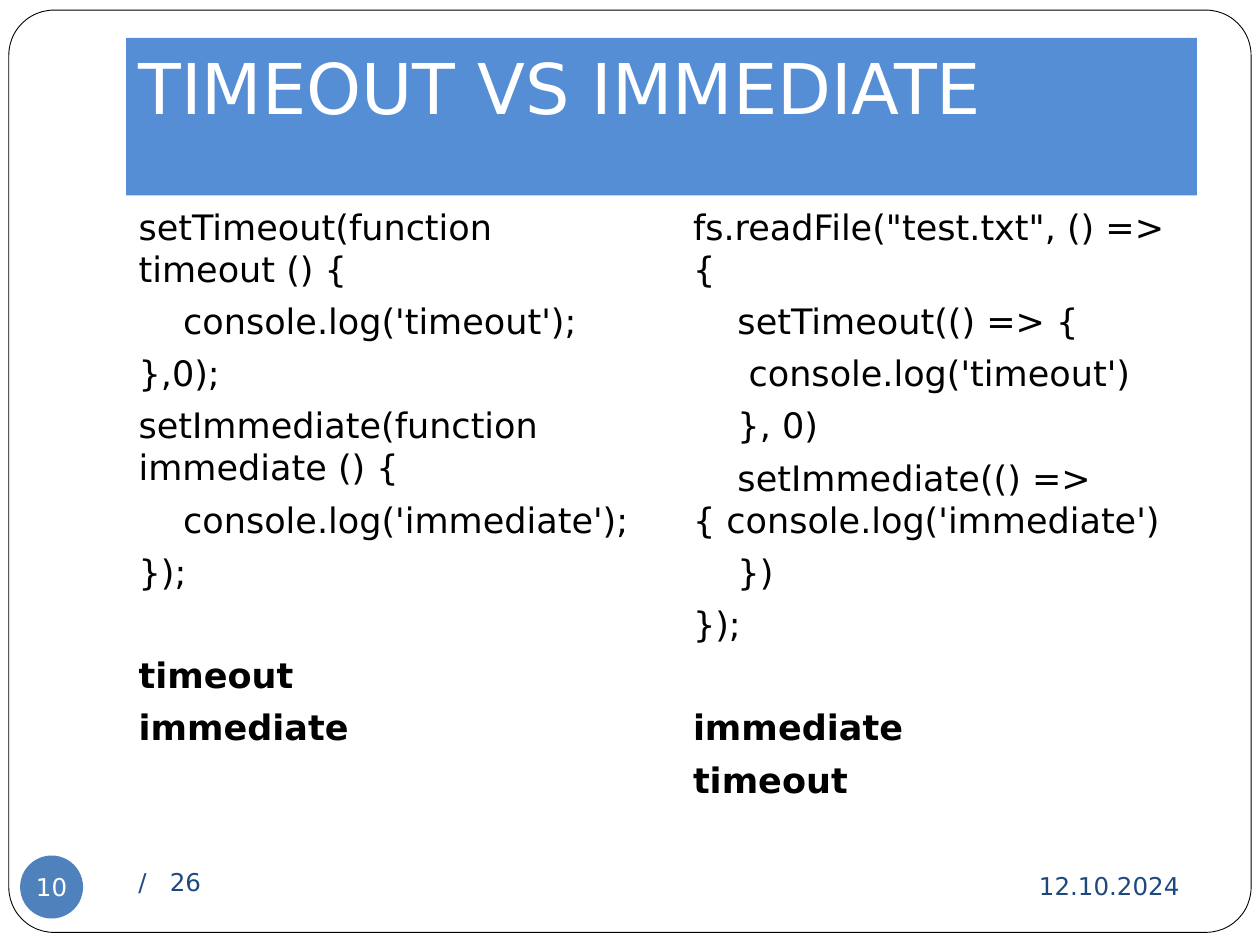
import pptx
import pptx.dml.color
import pptx.enum.shapes
import pptx.enum.text
import pptx.oxml.ns
import pptx.util
from lxml import etree

Inches, Pt = pptx.util.Inches, pptx.util.Pt
RGBColor = pptx.dml.color.RGBColor
ALIGN = pptx.enum.text.PP_ALIGN
ANCHOR = pptx.enum.text.MSO_ANCHOR
SHAPE = pptx.enum.shapes.MSO_SHAPE

FONT = "DejaVu Sans"
WHITE = RGBColor(0xFF, 0xFF, 0xFF)
BLACK = RGBColor(0x00, 0x00, 0x00)
BANNER = RGBColor(0x55, 0x8E, 0xD5)
BADGE = RGBColor(0x4F, 0x81, 0xBD)
NAVY = RGBColor(0x1F, 0x49, 0x7D)

TIMER_CODE = [
    "setTimeout(function timeout () {",
    "    console.log('timeout');",
    "},0);",
    "setImmediate(function immediate () {",
    "    console.log('immediate');",
    "});",
]
FILE_CODE = [
    'fs.readFile("test.txt", () => {',
    "    setTimeout(() => {",
    "     console.log('timeout')",
    "    }, 0)",
    "    setImmediate(() => { console.log('immediate')",
    "    })",
    "});",
]


class SlideBuilder:
    line_gap = Pt(5.8)
    output_gap = Pt(35)  # one empty line between code and its output

    def __init__(self, slide):
        self.slide = slide

    def place(self, sp, left, top, width, height):
        sp.left, sp.top = Inches(left), Inches(top)
        sp.width, sp.height = Inches(width), Inches(height)

    def format(self, p, size, color, align=ALIGN.LEFT, bold=False):
        p.alignment = align
        for r in p.runs:
            r.font.name, r.font.size = FONT, Pt(size)
            r.font.color.rgb, r.font.bold = color, bold

    def shape(self, kind, box, fill):
        sp = self.slide.shapes.add_shape(kind, *map(Inches, box))
        sp.shadow.inherit = False
        sp.fill.solid()
        sp.fill.fore_color.rgb = fill
        sp.line.fill.background()
        return sp

    def frame(self, box):
        sp = self.shape(SHAPE.ROUNDED_RECTANGLE, box, WHITE)
        sp.adjustments[0] = 0.049
        sp.line.color.rgb = BLACK
        sp.line.width = Pt(0.5)
        # Send behind the placeholders
        sp.element.getparent().insert(2, sp.element)

    def title(self, text, box):
        sp = self.slide.shapes.title
        self.place(sp, *box)
        sp.fill.solid()
        sp.fill.fore_color.rgb = BANNER
        tf = sp.text_frame
        tf.text = text
        tf.auto_size = pptx.enum.text.MSO_AUTO_SIZE.NONE
        tf.vertical_anchor = ANCHOR.TOP
        tf.margin_bottom = Inches(0.1)
        self.format(tf.paragraphs[0], 40, WHITE)

    def code(self, index, box, lines, output):
        sp = self.slide.placeholders[index]
        self.place(sp, *box)
        tf = sp.text_frame
        tf.text = "\n".join(lines + output)
        tf.auto_size = pptx.enum.text.MSO_AUTO_SIZE.NONE
        for i, p in enumerate(tf.paragraphs):
            pPr = p._p.get_or_add_pPr()
            pPr.set("marL", "0")
            pPr.set("indent", "0")
            etree.SubElement(pPr, pptx.oxml.ns.qn("a:buNone"))
            if i == 0:
                p.space_before = Pt(0)
            else:
                p.space_before = self.output_gap if i == len(lines) else self.line_gap
            self.format(p, 20, BLACK, bold=i >= len(lines))

    def label(self, text, box, align=ALIGN.LEFT, tab=None):
        tf = self.slide.shapes.add_textbox(*map(Inches, box)).text_frame
        tf.word_wrap = True
        tf.vertical_anchor = ANCHOR.MIDDLE
        p = tf.paragraphs[0]
        p.text = text
        if tab:
            tabs = etree.SubElement(p._p.get_or_add_pPr(), pptx.oxml.ns.qn("a:tabLst"))
            etree.SubElement(tabs, pptx.oxml.ns.qn("a:tab"), pos=str(Inches(tab)), algn="l")
        self.format(p, 14, NAVY, align)

    def badge(self, text, box):
        tf = self.shape(SHAPE.OVAL, box, BADGE).text_frame
        tf.text = text
        tf.word_wrap = False
        tf.vertical_anchor = ANCHOR.MIDDLE
        tf.margin_left = tf.margin_right = tf.margin_top = tf.margin_bottom = 0
        self.format(tf.paragraphs[0], 14, WHITE, ALIGN.CENTER)


def main():
    prs = pptx.Presentation()
    prs.slide_width, prs.slide_height = Inches(10), Inches(7.5)
    s = SlideBuilder(prs.slides.add_slide(prs.slide_layouts[3]))

    # Frame and title
    s.frame((0.07, 0.08, 9.86, 7.32))
    s.title("TIMEOUT VS IMMEDIATE", (1, 0.3, 8.5, 1.25))

    # Code columns, each followed by its output
    s.code(1, (1, 1.58, 4.1, 5), TIMER_CODE, ["timeout", "immediate"])
    s.code(2, (5.4, 1.58, 4.1, 4.92), FILE_CODE, ["immediate", "timeout"])

    # Footer
    s.label("12.10.2024", (6.75, 6.77, 2.71, 0.52), ALIGN.RIGHT)
    s.label("/\t26", (1, 6.75, 4.33, 0.5), tab=0.25)
    s.badge("10", (0.16, 6.79, 0.5, 0.5))

    prs.save("out.pptx")


if __name__ == "__main__":
    main()
